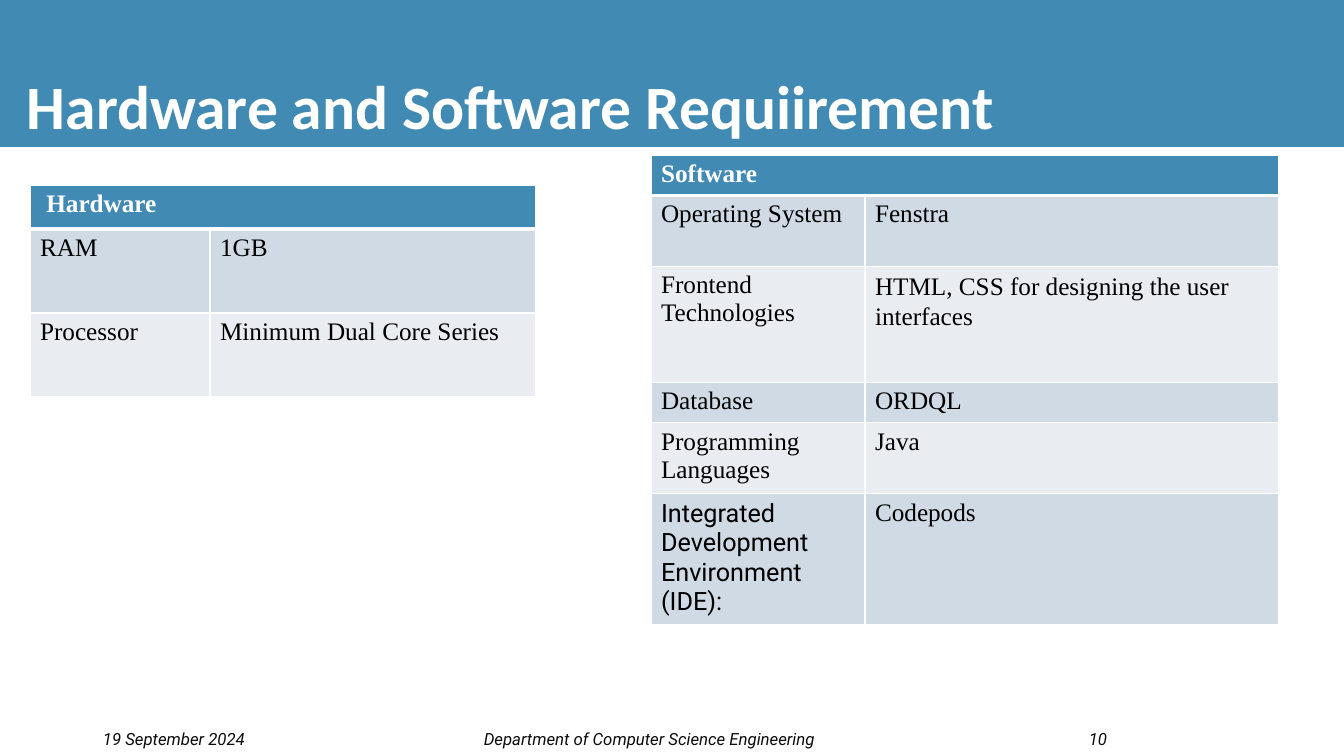
from pptx import Presentation
from pptx.dml.color import RGBColor
from pptx.enum.shapes import MSO_SHAPE
from pptx.enum.text import MSO_ANCHOR, PP_ALIGN
from pptx.oxml import parse_xml
from pptx.oxml.ns import nsdecls
from pptx.util import Emu, Pt

# Content
TITLE = "Hardware and Software Requiirement"
HARD = [" Hardware", ("RAM", "1GB"), ("Processor", "Minimum Dual Core Series")]
SOFT = [
    "Software",
    ("Operating System", "Fenstra"),
    ("Frontend Technologies", "HTML, CSS for designing the user interfaces"),
    ("Database", "ORDQL"),
    ("Programming Languages", "Java"),
    ("Integrated Development Environment (IDE):", "Codepods"),
]
# Rows, left, top, column widths, row heights
TABLES = [
    (HARD, 30, 185, (180, 326), (44, 84, 84)),
    (SOFT, 651, 155, (214, 414), (40, 71, 116, 40, 71, 131)),
]
# Text, left, width, alignment
FOOT = [
    ("19 September 2024", 93, 353, PP_ALIGN.LEFT),
    ("Department of Computer Science Engineering", 473, 353, PP_ALIGN.CENTER),
    ("10", 966, 151, PP_ALIGN.RIGHT),
]

BLUE = RGBColor(0x41, 0x8A, 0xB3)
BANDS = [RGBColor(0xCF, 0xDA, 0xE5), RGBColor(0xE9, 0xED, 0xF2)]
WHITE = RGBColor(0xFF, 0xFF, 0xFF)
BLACK = RGBColor(0, 0, 0)
INK = RGBColor(0x0D, 0x0D, 0x0D)
SERIF = "Times New Roman"


def px(n):
    return Emu(round(n * 914400 / 100.8))


def write(frame, text, font=SERIF, size=18, color=BLACK, bold=False,
          italic=False, align=PP_ALIGN.LEFT):
    frame.word_wrap = True
    para = frame.paragraphs[0]
    para.alignment = align
    run = para.add_run()
    run.text = text
    run.font.name = font
    run.font.size = Pt(size)
    run.font.color.rgb = color
    run.font.bold = bold
    run.font.italic = italic
    return para


def add_box(text, left, top, width, height, anchor, **style):
    frame = slide.shapes.add_textbox(px(left), px(top), px(width), px(height)).text_frame
    frame.vertical_anchor = anchor
    write(frame, text, **style)


def edge(cell, row):
    wide = {"T": 3 if row == 1 else 1, "B": 3 if row == 0 else 1}
    for at, side in enumerate("LRTB"):
        line = parse_xml(
            f'<a:ln{side} {nsdecls("a")} w="{Pt(wide.get(side, 1))}"><a:solidFill>'
            f'<a:srgbClr val="{WHITE}"/></a:solidFill></a:ln{side}>')
        cell._tc.get_or_add_tcPr().insert(at, line)


def add_grid(rows, left, top, widths, heights):
    grid = slide.shapes.add_table(len(rows), len(widths), px(left), px(top),
                                  px(sum(widths)), px(sum(heights))).table
    for col, width in zip(grid.columns, widths):
        col.width = px(width)
    for row, height in zip(grid.rows, heights):
        row.height = px(height)
    grid.cell(0, 0).merge(grid.cell(0, 1))

    for r, row in enumerate(rows):
        texts = (row, "") if r == 0 else row
        for c, text in enumerate(texts):
            cell = grid.cell(r, c)
            cell.fill.solid()
            cell.fill.fore_color.rgb = BANDS[(r - 1) % 2] if r else BLUE
            edge(cell, r)
            if not text:
                continue
            para = write(cell.text_frame, text, bold=r == 0,
                         color=BLACK if r else WHITE,
                         font="Roboto" if "IDE" in text else SERIF)
            if "HTML" in text:
                para.line_spacing = 1.07
                para.space_after = Pt(8)


deck = Presentation()
deck.slide_width, deck.slide_height = px(1344), px(756)
slide = deck.slides.add_slide(deck.slide_layouts[6])

# Title band
band = slide.shapes.add_shape(MSO_SHAPE.RECTANGLE, 0, 0, px(1344), px(147))
band.shadow.inherit = False
band.fill.solid()
band.fill.fore_color.rgb = BLUE
band.line.fill.background()
add_box(TITLE, 17, 0, 1309, 147, MSO_ANCHOR.BOTTOM,
        font="Calibri", size=44, color=WHITE, bold=True)

# Tables
for table in TABLES:
    add_grid(*table)

# Footer
for text, left, width, align in FOOT:
    add_box(text, left, 724, width, 30, MSO_ANCHOR.MIDDLE,
            font="Roboto", size=12, color=INK, italic=True, align=align)

deck.save("out.pptx")
